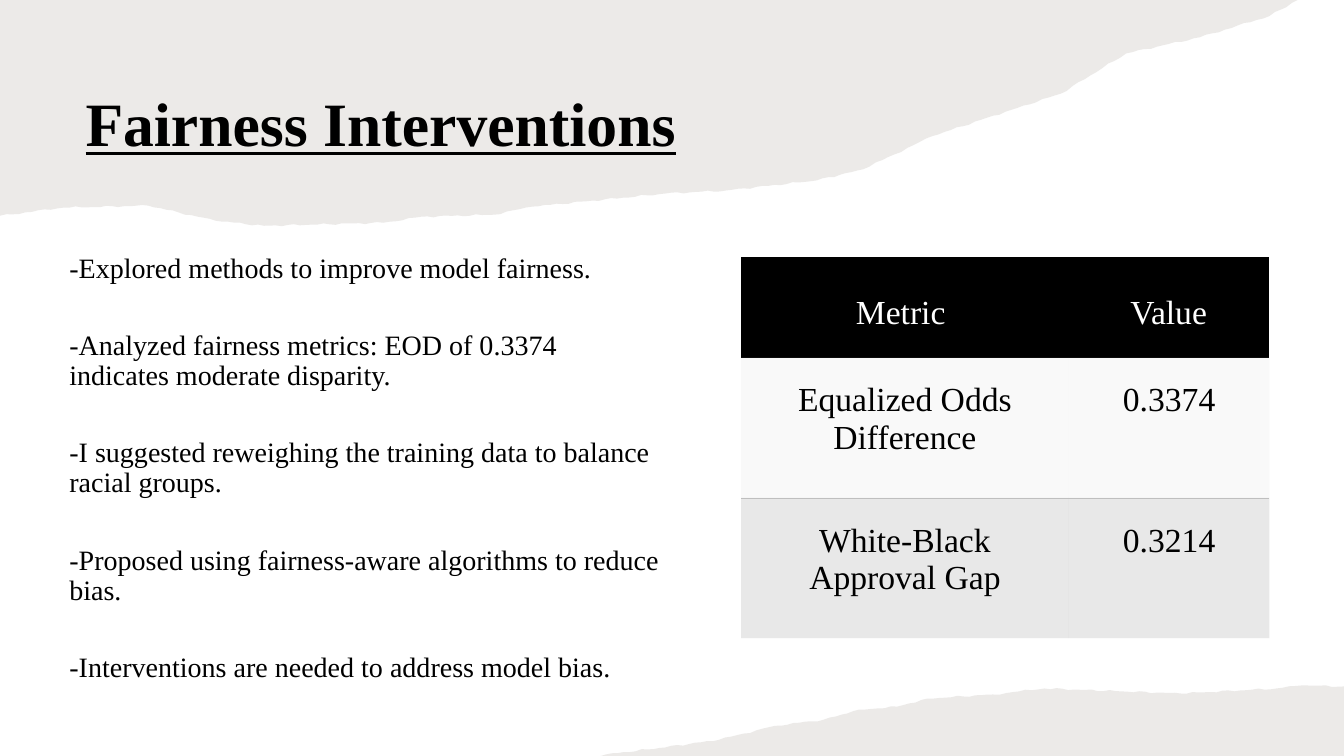
from itertools import pairwise
from math import sin

from lxml import etree
from pptx import Presentation
from pptx.dml.color import RGBColor
from pptx.enum.text import MSO_ANCHOR, PP_ALIGN
from pptx.oxml.ns import qn
from pptx.util import Inches, Pt

MIDDLE, TOP = MSO_ANCHOR.MIDDLE, MSO_ANCHOR.TOP
CENTER = PP_ALIGN.CENTER
FONT = "Times New Roman"
PAPER, BLACK, WHITE, LIGHT, GREY = "82766A", "000000", "FFFFFF", "F2F2F2", "BFBFBF"
NO_STYLE = "{2D5ABB26-0587-4C30-8999-92F81FD0307C}"
SLIDE_WIDTH, SLIDE_HEIGHT = 13.33, 7.5
TEAR_STEP, TEAR_ROUGHNESS = 0.06, 0.01


def paint(fill, color, opacity=100):
    fill.solid()
    fill.fore_color.rgb = RGBColor.from_string(color)
    if opacity < 100:
        tint = fill._xPr.find(f".//{qn('a:srgbClr')}")
        etree.SubElement(tint, qn("a:alpha"), val=str(opacity * 1000))


def style_text(para, size, color):
    for span in para.runs:
        span.font.name = FONT
        span.font.size = Pt(size)
        paint(span.font.fill, color)


deck = Presentation()
deck.slide_width, deck.slide_height = Inches(SLIDE_WIDTH), Inches(SLIDE_HEIGHT)
page = deck.slides.add_slide(deck.slide_layouts[6])

top_corner = (0, 0)
top_bends = [
    (12.87, 0), (12.59, 0.16), (11.9, 0.37), (11.17, 0.53), (10.52, 0.93), (10.03, 1.09),
    (9.25, 1.35), (8.56, 1.68), (8.1, 1.79), (7.2, 1.89), (6.6, 1.92), (5.28, 2.05),
    (4.9, 2.13), (4.18, 2.15), (3.8, 2.21), (2.62, 2.24), (2.14, 2.19), (1.47, 2.04),
    (0.63, 2.06), (0, 2.14),
]
bottom_corner = (SLIDE_WIDTH, SLIDE_HEIGHT)
bottom_bends = [
    (5.89, 7.5), (6.54, 7.42), (7.13, 7.34), (7.69, 7.2), (8.17, 7.14), (8.52, 7.04),
    (8.9, 7.01), (9.2, 6.93), (9.85, 6.89), (10.36, 6.83), (11.71, 6.88), (12.66, 6.83),
    (12.91, 6.8), (13.33, 6.81),
]
for corner, bends in ((top_corner, top_bends), (bottom_corner, bottom_bends)):
    outline = [bends[0]]
    for (x1, y1), (x2, y2) in pairwise(bends):
        steps = max(1, round(abs(x2 - x1) / TEAR_STEP))
        for step in range(1, steps + 1):
            x = x1 + (x2 - x1) * step / steps
            y = y1 + (y2 - y1) * step / steps
            bump = TEAR_ROUGHNESS * sin(23 * x) * sin(61 * x) if step < steps else 0
            outline.append((x, y + bump))

    builder = page.shapes.build_freeform(Inches(corner[0]), Inches(corner[1]))
    builder.add_line_segments([(Inches(x), Inches(y)) for x, y in outline], close=True)
    torn_paper = builder.convert_to_shape()
    torn_paper.shadow.inherit = False
    paint(torn_paper.fill, PAPER, 15)
    torn_paper.line.fill.background()

title_box = page.shapes.add_textbox(Inches(0.75), Inches(0.4), Inches(10.77), Inches(1.72))
title_box.text_frame.word_wrap = True
title_box.text_frame.vertical_anchor = MIDDLE
title = title_box.text_frame.paragraphs[0]
title.text = "Fairness Interventions"
title.line_spacing = 0.9
style_text(title, 44, BLACK)
title.runs[0].font.bold = True
title.runs[0].font.underline = True

findings = [
    "-Explored methods to improve model fairness.",
    "-Analyzed fairness metrics: EOD of 0.3374 indicates moderate disparity.",
    "-I suggested reweighing the training data to balance racial groups.",
    "-Proposed using fairness-aware algorithms to reduce bias.",
    "-Interventions are needed to address model bias.",
]
findings_box = page.shapes.add_textbox(Inches(0.53), Inches(2.47), Inches(6.14), Inches(4.21))
findings_frame = findings_box.text_frame
findings_frame.word_wrap = True
findings_frame.text = "\n".join(findings)
for para in findings_frame.paragraphs:
    para.line_spacing = 0.9
    para.space_after = Pt(33.5)
    para._p.get_or_add_pPr().set("marL", str(Inches(0.06)))
    style_text(para, 20, BLACK)

metrics = [
    ("Metric ", " Value "),
    ("Equalized Odds Difference", "0.3374"),
    ("White-Black Approval Gap", "0.3214"),
]
row_looks = [
    (1, BLACK, 100, WHITE, MIDDLE, None),
    (1.39, LIGHT, 45, BLACK, TOP, "a:lnB"),
    (1.39, GREY, 35, BLACK, TOP, "a:lnT"),
]
table_frame = page.shapes.add_table(
    len(metrics), 2, Inches(7.35), Inches(2.55), Inches(5.24), Inches(3.78)
)
table = table_frame.table
table.first_row = table.horz_banding = False
table._tbl.tblPr.find(qn("a:tableStyleId")).text = NO_STYLE
for column, width in zip(table.columns, (3.25, 1.99)):
    column.width = Inches(width)
for row, texts, look in zip(table.rows, metrics, row_looks):
    height, background, opacity, text_color, anchor, border = look
    row.height = Inches(height)
    for cell, text in zip(row.cells, texts):
        cell.margin_left = cell.margin_right = cell.margin_top = Inches(0.24)
        cell.margin_bottom = Inches(0.12)
        cell.vertical_anchor = anchor
        paint(cell.fill, background, opacity)
        if border:
            edge = etree.Element(qn(border), w=str(Pt(0.5)))
            edge_fill = etree.SubElement(edge, qn("a:solidFill"))
            etree.SubElement(edge_fill, qn("a:srgbClr"), val=GREY)
            cell._tc.get_or_add_tcPr().insert(0, edge)
        para = cell.text_frame.paragraphs[0]
        para.text = text
        para.alignment = CENTER
        style_text(para, 24, text_color)

deck.save("out.pptx")
